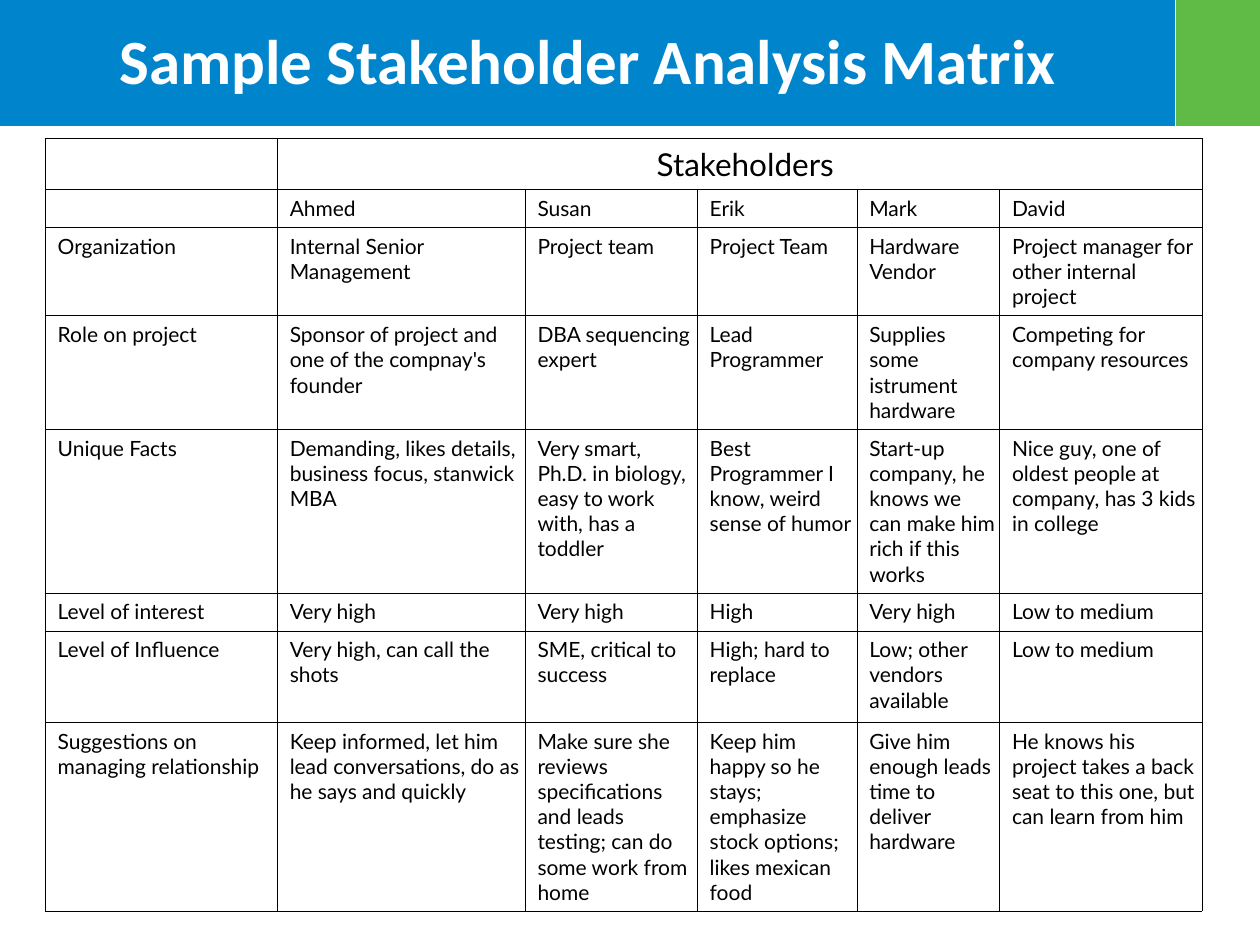
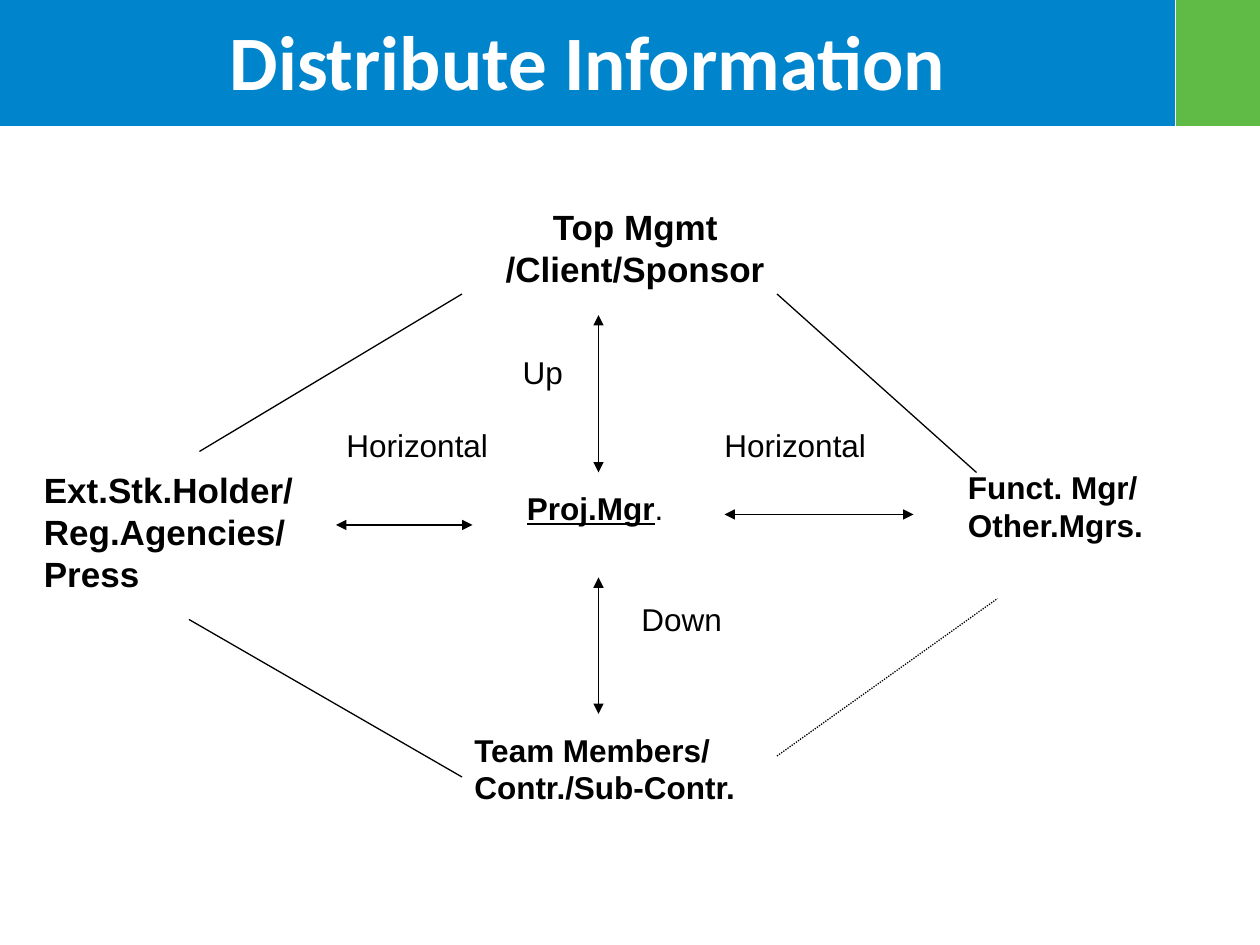
from dataclasses import dataclass

from lxml.etree import SubElement
from pptx import Presentation
from pptx.dml.color import RGBColor
from pptx.enum.dml import MSO_LINE_DASH_STYLE as Dash
from pptx.enum.shapes import MSO_CONNECTOR as Connector, MSO_SHAPE as Preset
from pptx.enum.text import MSO_ANCHOR as Anchor, MSO_AUTO_SIZE as AutoSize, PP_ALIGN as Align
from pptx.oxml.ns import qn
from pptx.slide import Slide
from pptx.util import Inches, Length, Pt

BLUE = RGBColor(0x00, 0x84, 0xCC)
GREEN = RGBColor(0x60, 0xBB, 0x46)
WHITE = RGBColor(0xFF, 0xFF, 0xFF)
BLACK = RGBColor(0x00, 0x00, 0x00)

TITLE_FONT = "Calibri"
TABLE_FONT = "Lato"
DIAGRAM_FONT = "Arial"

COLUMNS, ROWS = 120, 90  # square grid, twelve cells to the inch
CELLS_PER_INCH = 12
BAND_ROWS = 12


@dataclass(frozen=True)
class Box:
    left: float
    top: float
    width: float
    height: float

    def lengths(self) -> list[Length]:
        return [grid(cells) for cells in (self.left, self.top, self.width, self.height)]


@dataclass(frozen=True)
class Party:
    """A group of people in the diagram, one line per paragraph."""
    lines: tuple[str, ...]
    box: Box
    size: int = 18
    space_before: float = 0
    align: Align = Align.LEFT


@dataclass(frozen=True)
class Direction:
    text: str
    box: Box


@dataclass(frozen=True)
class Link:
    start: tuple[float, float]
    end: tuple[float, float]
    arrows: bool = False
    dash: Dash | None = None


BANDS = (
    (Box(0, 0, 111.9, BAND_ROWS), BLUE),
    (Box(112, 0, 8, BAND_ROWS), GREEN),
)
TITLE_BOX = Box(1, 0.4, 110, 10.5)

MATRIX_LEFT, MATRIX_TOP = 4.3, 13.2
MATRIX_COLUMNS = (22.1, 23.6, 16.4, 15.2, 13.6, 19.3)
MATRIX_ROWS = (3.8, 3.1, 7.2, 9.6, 14.5, 3.1, 8.7, 17.5)
MATRIX = (
    ("", "Stakeholders", "", "", "", ""),
    ("", "Ahmed", "Susan", "Erik", "Mark", "David"),
    ("Organization", "Internal Senior Management", "Project team", "Project Team",
     "Hardware Vendor", "Project manager for other internal project"),
    ("Role on project", "Sponsor of project and one of the compnay's founder",
     "DBA sequencing expert", "Lead Programmer", "Supplies some istrument hardware",
     "Competing for company resources"),
    ("Unique Facts", "Demanding, likes details, business focus, stanwick MBA",
     "Very smart, Ph.D. in biology, easy to work with, has a toddler",
     "Best Programmer I know, weird sense of humor",
     "Start-up company, he knows we can make him rich if this works",
     "Nice guy, one of oldest people at company, has 3 kids in college"),
    ("Level of interest", "Very high", "Very high", "High", "Very high", "Low to medium"),
    ("Level of Influence", "Very high, can call the shots", "SME, critical to success",
     "High; hard to replace", "Low; other vendors available", "Low to medium"),
    ("Suggestions on managing relationship",
     "Keep informed, let him lead conversations, do as he says and quickly",
     "Make sure she reviews specifications and leads testing; can do some work from home",
     "Keep him happy so he stays; emphasize stock options; likes mexican food",
     "Give him enough leads time to deliver hardware",
     "He knows his project takes a back seat to this one, but can learn from him"),
)
CELL_FORMAT = {
    "margin_left": Inches(0.1),
    "margin_right": Inches(0.01),
    "margin_top": Inches(0.05),
    "margin_bottom": Inches(0.05),
}

PARTIES = (
    Party(("Top Mgmt /Client/Sponsor",), Box(45, 19, 31, 9.2), 20, 12.5, Align.CENTER),
    Party(("Team Members/ Contr./Sub-Contr.",), Box(44, 69, 34, 8.4), space_before=11.2),
    Party(("Funct. Mgr/", "Other.Mgrs."), Box(91, 44, 26, 8.4)),
    Party(("Ext.Stk.Holder/", "Reg.Agencies/", "Press"), Box(3, 44, 29, 13.2), 20),
)
MANAGER_BOX = Box(49, 46, 21, 4.8)
LINKS = (
    Link((57, 30), (57, 45), arrows=True),
    Link((57, 55), (57, 68), arrows=True),
    Link((32, 50), (45, 50), arrows=True),
    Link((69, 49), (87, 49), arrows=True),
    Link((74, 72), (95, 57), dash=Dash.ROUND_DOT),
    Link((18, 59), (44, 74)),
    Link((19, 43), (44, 28)),
    Link((74, 28), (93, 45)),
)
DIRECTIONS = (
    Direction("Up", Box(48.6, 33, 6.5, 4.8)),
    Direction("Down", Box(59.9, 56.6, 10.5, 4.8)),
    Direction("Horizontal", Box(31.8, 40, 16.5, 4.8)),
    Direction("Horizontal", Box(67.8, 40, 16.5, 4.8)),
)


def grid(cells: float) -> Length:
    return Inches(cells / CELLS_PER_INCH)


def apply(target, formats: dict) -> None:
    for name, value in formats.items():
        setattr(target, name, value)


def add_run(paragraph, text: str, font: str, size: float, color=BLACK, **formats) -> None:
    run = paragraph.add_run()
    run.text = text
    apply(run.font, {"name": font, "size": Pt(size), **formats})
    run.font.color.rgb = color


def add_text_frame(slide: Slide, box: Box, **formats):
    frame = slide.shapes.add_textbox(*box.lengths()).text_frame
    apply(frame, {"word_wrap": True, "auto_size": AutoSize.SHAPE_TO_FIT_TEXT, **formats})
    return frame


def add_bands(slide: Slide) -> None:
    for box, color in BANDS:
        band = slide.shapes.add_shape(Preset.RECTANGLE, *box.lengths())
        band.shadow.inherit = False
        band.fill.solid()
        band.fill.fore_color.rgb = color
        band.line.fill.background()


def add_title(slide: Slide, text: str, size: int) -> None:
    frame = add_text_frame(slide, TITLE_BOX, auto_size=AutoSize.NONE,
                           vertical_anchor=Anchor.MIDDLE)
    paragraph = frame.paragraphs[0]
    paragraph.alignment = Align.CENTER
    add_run(paragraph, text, TITLE_FONT, size, WHITE, bold=True)


def add_cell_borders(cell) -> None:
    properties = cell._tc.get_or_add_tcPr()
    for side in ("lnL", "lnR", "lnT", "lnB"):
        border = SubElement(properties, qn(f"a:{side}"), w=str(Pt(0.23)))
        fill = SubElement(border, qn("a:solidFill"))
        SubElement(fill, qn("a:srgbClr"), val=str(BLACK))


def add_matrix(slide: Slide) -> None:
    box = Box(MATRIX_LEFT, MATRIX_TOP, sum(MATRIX_COLUMNS), sum(MATRIX_ROWS))
    table = slide.shapes.add_table(len(MATRIX), len(MATRIX[0]), *box.lengths()).table
    apply(table, {"first_row": False, "horz_banding": False})
    for column, width in zip(table.columns, MATRIX_COLUMNS):
        column.width = grid(width)
    for row, height in zip(table.rows, MATRIX_ROWS):
        row.height = grid(height)
    for row, texts in zip(table.rows, MATRIX):
        for cell, text in zip(row.cells, texts):
            add_cell_borders(cell)
            cell.fill.background()
            apply(cell, CELL_FORMAT)
            paragraph = cell.text_frame.paragraphs[0]
            if text:
                add_run(paragraph, text, TABLE_FONT, 18 if text == "Stakeholders" else 12)
            else:
                SubElement(paragraph._p, qn("a:endParaRPr"), sz="1200")
    heading = table.cell(0, 1)
    heading.merge(table.cell(0, len(MATRIX_COLUMNS) - 1))
    heading.vertical_anchor = Anchor.BOTTOM
    heading.text_frame.paragraphs[0].alignment = Align.CENTER


def add_party(slide: Slide, party: Party) -> None:
    frame = add_text_frame(slide, party.box)
    for index, line in enumerate(party.lines):
        paragraph = frame.add_paragraph() if index else frame.paragraphs[0]
        apply(paragraph, {"alignment": party.align, "space_before": Pt(party.space_before)})
        add_run(paragraph, line, DIAGRAM_FONT, party.size, bold=True)


def add_project_manager(slide: Slide) -> None:
    paragraph = add_text_frame(slide, MANAGER_BOX).paragraphs[0]
    paragraph.space_before = Pt(11.2)
    add_run(paragraph, "Proj.Mgr", DIAGRAM_FONT, 18, bold=True, underline=True)
    add_run(paragraph, ".", DIAGRAM_FONT, 18)


def add_link(slide: Slide, link: Link) -> None:
    ends = [grid(cells) for cells in (*link.start, *link.end)]
    connector = slide.shapes.add_connector(Connector.STRAIGHT, *ends)
    line = connector.line
    line.color.rgb = BLACK
    line.width = Pt(0.75)
    if link.dash:
        line.dash_style = link.dash
    properties = connector._element.spPr
    if link.arrows:
        for end in ("headEnd", "tailEnd"):
            SubElement(properties.find(qn("a:ln")), qn(f"a:{end}"), type="triangle")
    SubElement(properties, qn("a:effectLst"))


def add_direction(slide: Slide, direction: Direction) -> None:
    """Label an arrow on one line, in a box a little wider than its text."""
    frame = add_text_frame(slide, direction.box, word_wrap=False, auto_size=AutoSize.NONE)
    add_run(frame.paragraphs[0], direction.text, DIAGRAM_FONT, 18)
    frame.paragraphs[0].alignment = Align.LEFT


def build_matrix_slide(slide: Slide) -> None:
    add_bands(slide)
    add_matrix(slide)
    add_title(slide, "Sample Stakeholder Analysis Matrix", 36)


def build_information_slide(slide: Slide) -> None:
    add_bands(slide)
    for party in PARTIES:
        add_party(slide, party)
    add_project_manager(slide)
    for link in LINKS:
        add_link(slide, link)
    for direction in DIRECTIONS:
        add_direction(slide, direction)
    add_title(slide, "Distribute Information", 44)


def main() -> None:
    presentation = Presentation()
    apply(presentation, {"slide_width": grid(COLUMNS), "slide_height": grid(ROWS)})
    blank = presentation.slide_layouts[6]
    for build in (build_matrix_slide, build_information_slide):
        build(presentation.slides.add_slide(blank))
    presentation.save("out.pptx")


if __name__ == "__main__":
    main()
